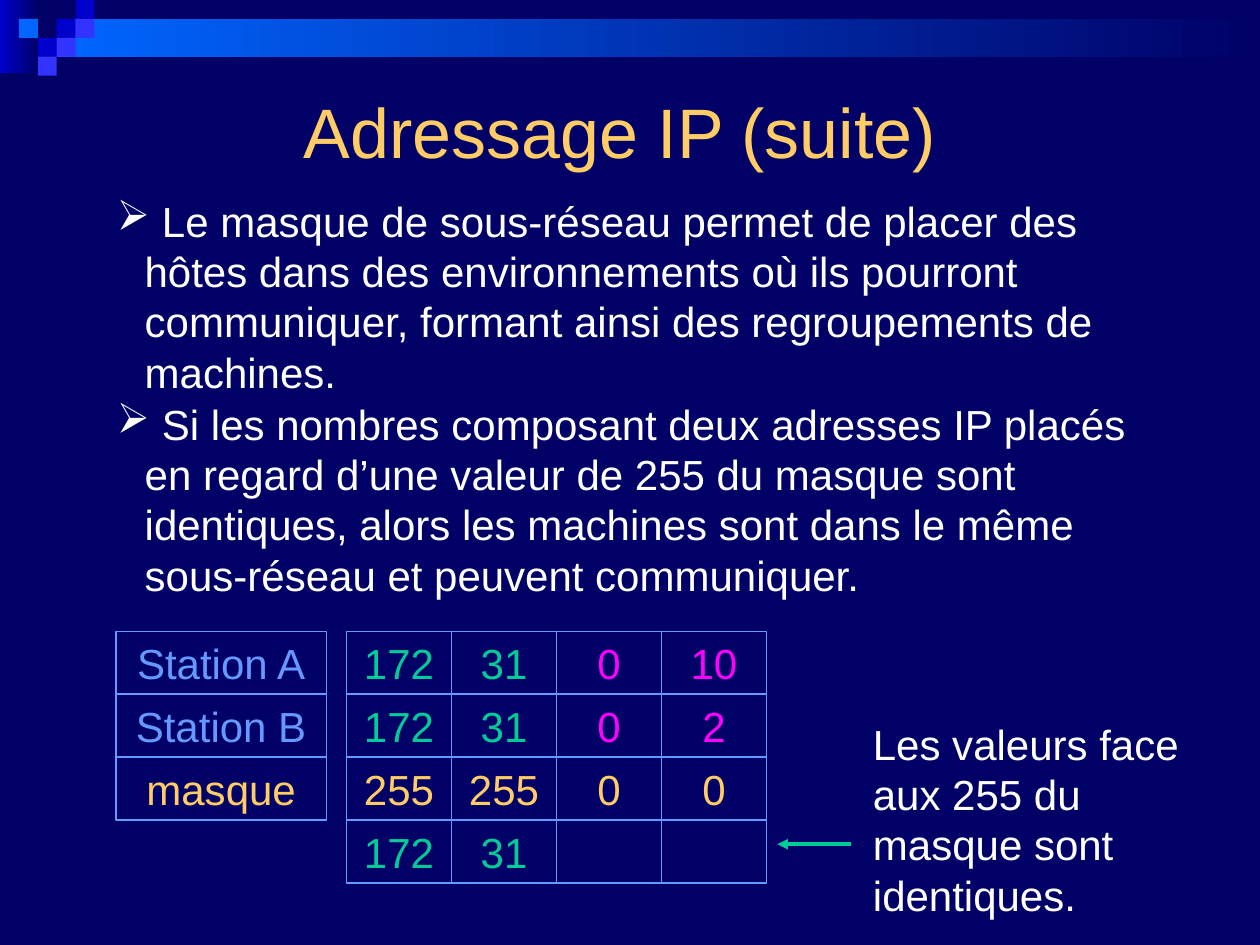
import pptx
import pptx.util
import pptx.dml.color
import pptx.enum.shapes
import pptx.enum.text
import pptx.oxml
import pptx.oxml.ns
from lxml import etree

Inches, Pt = pptx.util.Inches, pptx.util.Pt
RGB = pptx.dml.color.RGBColor.from_string
ANCHOR = pptx.enum.text.MSO_ANCHOR
ALIGN = pptx.enum.text.PP_ALIGN
RECTANGLE = pptx.enum.shapes.MSO_SHAPE.RECTANGLE

THEME = {
    "font": "Arial", "title_size": 40, "text_size": 24,
    "background": "000066", "text": "FFFFFF", "gold": "FFCC66",
    "same": "00CC99", "different": "FF00FF", "station": "6699FF",
    "deep": "0000CC", "violet": "3333FF", "bright": "0066FF",
}

TITLE = "Adressage IP (suite)"
RULES = [  # top, width, wording
    (1.5, 8.33, " Le masque de sous-réseau permet de placer des hôtes dans des "
     "environnements où ils pourront communiquer, formant ainsi des "
     "regroupements de machines."),
    (3.11, 8.42, " Si les nombres composant deux adresses IP placés en regard "
     "d’une valeur de 255 du masque sont identiques, alors les machines sont "
     "dans le même sous-réseau et peuvent communiquer."),
]
ROWS = [  # label, label colour, bytes, colours of the network and host halves
    ("Station A", "station", ("172", "31", "0", "10"), ("same", "different")),
    ("Station B", "station", ("172", "31", "0", "2"), ("same", "different")),
    ("masque", "gold", ("255", "255", "0", "0"), ("gold", "gold")),
    (None, None, ("172", "31", "", ""), ("same", "different")),
]
CONCLUSION = "Les valeurs face aux 255 du masque sont identiques."

BARS = [  # left, top, width, height, colour at the left end
    (0, 0, 0.31, 0.58, "deep"),
    (0.45, 0.15, 9.55, 0.3, "bright"),
]
TILE = 0.15
TILES = [  # column, row, colour
    (3, 1, "deep"), (4, 0, "deep"), (4, 1, "violet"), (2, 2, "deep"),
    (1, 1, "bright"), (3, 2, "violet"), (2, 3, "violet"),
]

GRID_TOP, ROW_HEIGHT = 5.01, 0.5
LABEL_LEFT, LABEL_WIDTH = 0.92, 1.67
BYTES_LEFT, BYTE_WIDTH = 2.75, 2.5 / 3
BULLET_INDENT = 0.22


def write(shape, wording, colour, size="text_size", align=ALIGN.LEFT,
          anchor=ANCHOR.TOP, space_before=15):
    frame = shape.text_frame
    frame.word_wrap = True
    frame.vertical_anchor = anchor
    paragraph = frame.paragraphs[0]
    paragraph.alignment = align
    paragraph.space_before = Pt(space_before)
    run = paragraph.add_run()
    run.text = wording
    formats = {"name": THEME["font"], "size": Pt(THEME[size]), "bold": False}
    for name, value in formats.items():
        setattr(run.font, name, value)
    run.font.color.rgb = RGB(THEME[colour])
    return paragraph


def add_bullet(paragraph):
    properties = paragraph._p.get_or_add_pPr()
    properties.set("marL", str(Inches(BULLET_INDENT)))
    properties.set("indent", str(-Inches(BULLET_INDENT)))
    qn = pptx.oxml.ns.qn
    colour = etree.SubElement(properties, qn("a:buClr"))
    etree.SubElement(colour, qn("a:srgbClr"), val=THEME["text"])
    etree.SubElement(properties, qn("a:buChar"), char="➢")


def add_text(slide, left, top, width, height, wording):
    box = slide.shapes.add_textbox(*map(Inches, (left, top, width, height)))
    return write(box, wording, "text")


def add_rectangle(slide, left, top, width, height):
    rectangle = slide.shapes.add_shape(
        RECTANGLE, *map(Inches, (left, top, width, height)))
    rectangle.shadow.inherit = False
    return rectangle


def add_decoration(slide):
    for *place, colour in BARS:
        bar = add_rectangle(slide, *place)
        bar.line.fill.background()
        bar.fill.gradient()
        bar.fill.gradient_angle = 180
        for stop, name in zip(bar.fill.gradient_stops, ("background", colour)):
            stop.color.rgb = RGB(THEME[name])
    for column, row, colour in TILES:
        tile = add_rectangle(slide, column * TILE, row * TILE, TILE, TILE)
        tile.line.fill.background()
        tile.fill.solid()
        tile.fill.fore_color.rgb = RGB(THEME[colour])


def add_cell(slide, left, row, width, wording, colour):
    cell = add_rectangle(slide, left, GRID_TOP + row * ROW_HEIGHT,
                         width, ROW_HEIGHT)
    cell.fill.background()
    cell.line.color.rgb = RGB(THEME["station"])
    cell.line.width = Pt(0.75)
    if wording:
        write(cell, wording, colour, align=ALIGN.CENTER)


def add_address_grid(slide):
    for row, (label, label_colour, octets, halves) in enumerate(ROWS):
        if label:
            add_cell(slide, LABEL_LEFT, row, LABEL_WIDTH, label, label_colour)
        for column, octet in enumerate(octets):
            add_cell(slide, BYTES_LEFT + column * BYTE_WIDTH, row, BYTE_WIDTH,
                     octet, halves[column // 2])


def add_arrow(slide, start, end):
    arrow = slide.shapes.add_connector(
        pptx.enum.shapes.MSO_CONNECTOR.STRAIGHT, *map(Inches, start + end))
    arrow.line.color.rgb = RGB(THEME["same"])
    arrow.line.width = Pt(2)
    qn = pptx.oxml.ns.qn
    etree.SubElement(arrow.line._get_or_add_ln(), qn("a:tailEnd"),
                     type="triangle")
    etree.SubElement(arrow._element.spPr, qn("a:effectLst"))


def main():
    deck = pptx.Presentation()
    deck.slide_width, deck.slide_height = Inches(10), Inches(7.5)
    slide = deck.slides.add_slide(deck.slide_layouts[5])
    slide.background.fill.solid()
    slide.background.fill.fore_color.rgb = RGB(THEME["background"])

    add_decoration(slide)
    title = slide.shapes.title
    place = {"left": 0.67, "top": 0.58, "width": 8.5, "height": 0.91}
    for side, length in place.items():
        setattr(title, side, Inches(length))
    write(title, TITLE, "gold", "title_size", ALIGN.CENTER, ANCHOR.MIDDLE, 0)

    for top, width, wording in RULES:
        add_bullet(add_text(slide, 0.83, top, width, 1.7, wording))
    add_address_grid(slide)
    add_text(slide, 6.83, 5.65, 3, 1.7, CONCLUSION)
    add_arrow(slide, (6.75, 6.7), (6.17, 6.7))
    deck.save("out.pptx")


if __name__ == "__main__":
    main()
